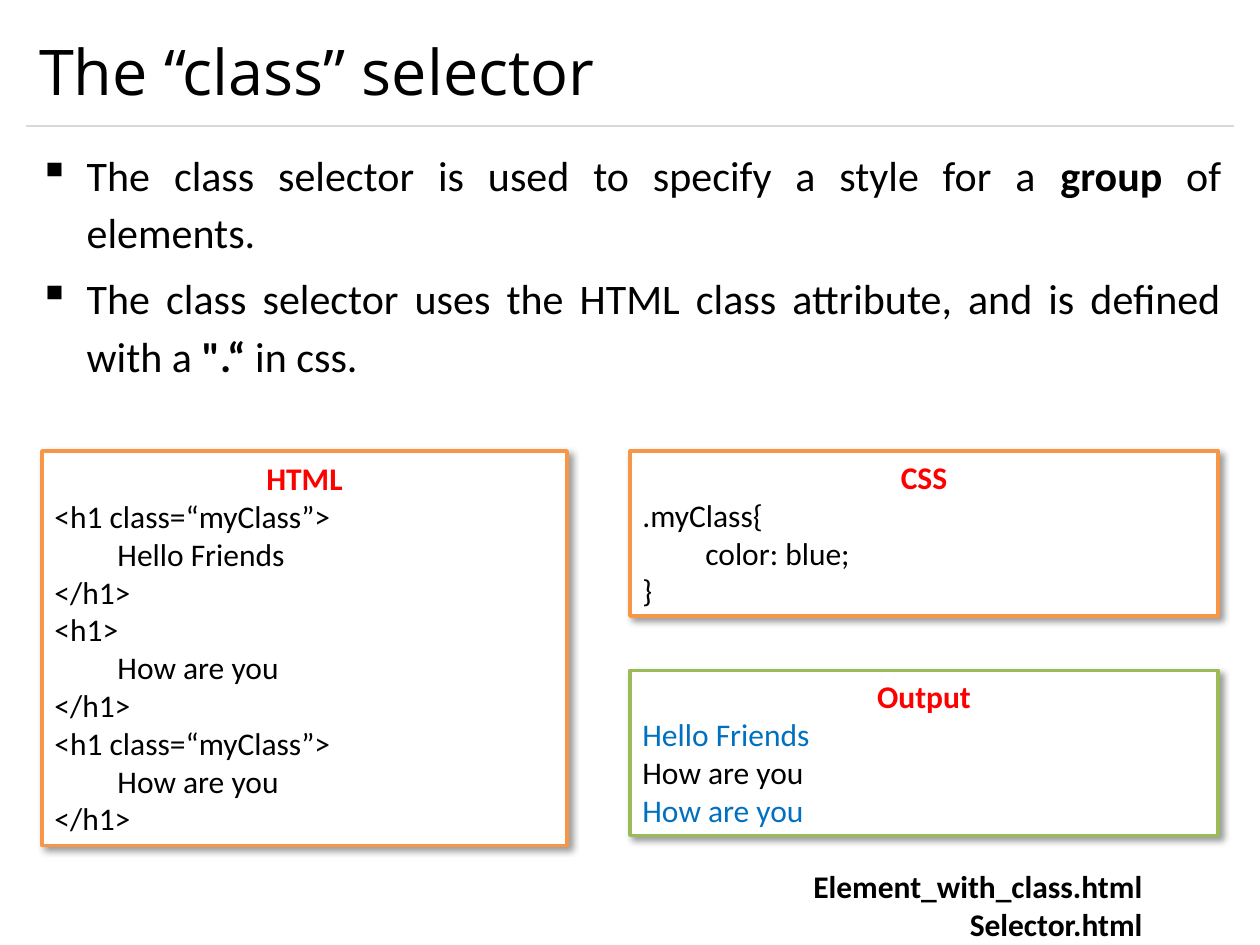
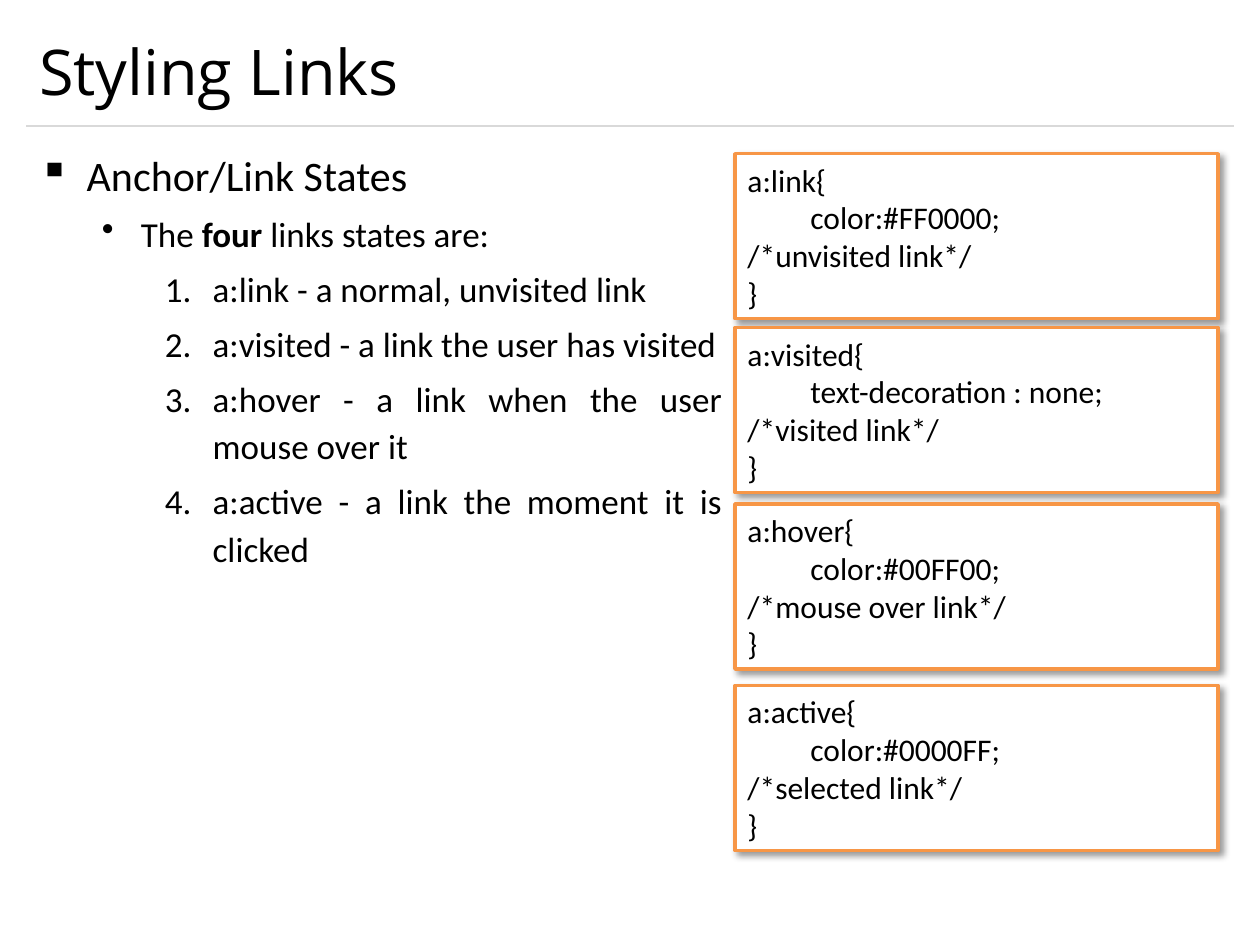
import itertools

import pptx
import pptx.dml.color
import pptx.enum.shapes
import pptx.enum.text
import pptx.oxml
import pptx.oxml.ns
import pptx.util

Inches, Pt = pptx.util.Inches, pptx.util.Pt
RGB = pptx.dml.color.RGBColor.from_string
ALIGN = pptx.enum.text.PP_ALIGN
ANCHOR = pptx.enum.text.MSO_ANCHOR
FIT = pptx.enum.text.MSO_AUTO_SIZE
NS = pptx.oxml.ns.nsdecls("a")

COLOURS = {"black": "000000", "white": "FFFFFF", "red": "FF0000", "blue": "0070C0",
           "orange": "F79646", "green": "9BBB59", "rule": "D9D9D9"}
TITLE_FONT, BODY_FONT = "Open Sans", "Calibri"
COL = Inches(10) // 60  # sixty columns across the slide
MARGIN, CONTENT_WIDTH = Inches(0.21), Inches(9.58)
BODY_TOP, CODE_HEIGHT = 1.08, 1.31

# Body levels: left margin, hanging indent, text size, bullet
LEVELS = [
    (0.38, 0.38, 24, f'<a:buChar {NS} char="▪"/>'),
    (0.81, 0.31, 20, f'<a:buChar {NS} char="•"/>'),
    (1.38, 0.38, 20, f'<a:buAutoNum {NS} type="arabicPeriod"/>'),
]
SHADOW = (f'<a:effectLst {NS}><a:outerShdw blurRad="{Pt(4)}" dist="{Pt(3)}" dir="2700000" '
          'algn="tl" rotWithShape="0"><a:srgbClr val="000000"><a:alpha val="40000"/>'
          '</a:srgbClr></a:outerShdw></a:effectLst>')


def format_text(p, size, colour="black", bold=False, font=BODY_FONT):
    for r in p.runs:
        r.font.name, r.font.size, r.font.bold = font, Pt(size), bold
        r.font.color.rgb = RGB(COLOURS[colour])


def add_code_box(slide, left, top, width, height, edge, lines, heading=None, colours=("black",)):
    """Add a shadowed box; the line colours repeat in turn below the heading."""
    sp = slide.shapes.add_shape(pptx.enum.shapes.MSO_SHAPE.RECTANGLE, left * COL,
                                Inches(top), width * COL, Inches(height))
    sp.fill.solid()
    sp.fill.fore_color.rgb = RGB(COLOURS["white"])
    sp.line.color.rgb = RGB(COLOURS[edge])
    sp.line.width = Pt(2)
    sp._element.spPr.append(pptx.oxml.parse_xml(SHADOW))
    tf = sp.text_frame
    tf.word_wrap, tf.auto_size = True, FIT.SHAPE_TO_FIT_TEXT
    tf.vertical_anchor = ANCHOR.MIDDLE
    tf.text = "\n".join([heading] * bool(heading) + lines)
    for p, colour in zip(tf.paragraphs[bool(heading):], itertools.cycle(colours)):
        p.alignment = ALIGN.LEFT
        format_text(p, 18, colour)
    if heading:
        tf.paragraphs[0].alignment = ALIGN.CENTER
        format_text(tf.paragraphs[0], 18, "red", bold=True)


prs = pptx.Presentation()
prs.slide_width, prs.slide_height = Inches(10), Inches(7.5)

# Each body item is a level and its text; ** surrounds bold words
pages = [
    ("The “class” selector", 9.58, 2.25, [
        (0, "The class selector is used to specify a style for a **group** of elements."),
        (0, "The class selector uses the HTML class attribute, and is defined "
            "with a **\".“** in css."),
    ]),
    ("Styling Links", 5.62, 5.83, [
        (0, "Anchor/Link States"),
        (1, "The **four** links states are:"),
        (2, "a:link - a normal, unvisited link"),
        (2, "a:visited - a link the user has visited"),
        (2, "a:hover - a link when the user mouse over it"),
        (2, "a:active - a link the moment it is clicked"),
    ]),
]

for title, body_width, body_height, items in pages:
    slide = prs.slides.add_slide(prs.slide_layouts[5])

    rule = slide.shapes.add_connector(pptx.enum.shapes.MSO_CONNECTOR.STRAIGHT, MARGIN,
                                      Inches(1), MARGIN + CONTENT_WIDTH, Inches(1))
    rule.line.color.rgb = RGB(COLOURS["rule"])
    rule.line.width = Pt(0.75)
    rule._element.spPr.append(pptx.oxml.parse_xml(f"<a:effectLst {NS}/>"))

    sp = slide.shapes.title
    sp.left, sp.top, sp.width, sp.height = MARGIN, Inches(0.12), CONTENT_WIDTH, Inches(0.88)
    tf = sp.text_frame
    tf.text = title
    tf.auto_size, tf.vertical_anchor = FIT.NONE, ANCHOR.MIDDLE
    tf.paragraphs[0].alignment = ALIGN.LEFT
    format_text(tf.paragraphs[0], 36, font=TITLE_FONT)

    tf = slide.shapes.add_textbox(MARGIN, Inches(BODY_TOP), Inches(body_width),
                                  Inches(body_height)).text_frame
    tf.word_wrap = True
    for i, (level, text) in enumerate(items):
        p = tf.add_paragraph() if i else tf.paragraphs[0]
        margin, hanging, size, bullet = LEVELS[level]
        pPr = p._p.get_or_add_pPr()
        pPr.set("marL", str(Inches(margin)))
        pPr.set("indent", str(-Inches(hanging)))
        pPr.append(pptx.oxml.parse_xml(bullet))
        p.level, p.alignment, p.line_spacing = level, ALIGN.JUSTIFY, 1.14
        if i:
            p.space_before = Pt(size * 0.2)
        for part in text.split("**"):
            p.add_run().text = part
        format_text(p, size)
        for r in p.runs[1::2]:
            r.font.bold = True

class_slide, links_slide = prs.slides

add_code_box(class_slide, 2, 3.58, 25, 3.13, "orange", [
    "<h1 class=“myClass”>", "\tHello Friends", "</h1>",
    "<h1>", "\tHow are you", "</h1>",
    "<h1 class=“myClass”>", "\tHow are you", "</h1>"], "HTML")
add_code_box(class_slide, 30, 3.58, 28, CODE_HEIGHT, "orange",
             [".myClass{", "\tcolor: blue;", "}"], "CSS")
add_code_box(class_slide, 30, 5.32, 28, CODE_HEIGHT, "green",
             ["Hello Friends", "How are you", "How are you"], "Output", ("blue", "black"))

tf = class_slide.shapes.add_textbox(37 * COL, Inches(6.83), 18 * COL, Inches(0.71)).text_frame
tf.word_wrap = True
tf.text = "Element_with_class.html\nSelector.html"
for p in tf.paragraphs:
    p.alignment = ALIGN.RIGHT
    format_text(p, 18, bold=True)

link_states = [
    (1.22, "link", "color:#FF0000;", "unvisited"),
    (2.6, "visited", "text-decoration : none;", "visited"),
    (4, "hover", "color:#00FF00;", "mouse over"),
    (5.44, "active", "color:#0000FF;", "selected"),
]
for top, state, declaration, meaning in link_states:
    add_code_box(links_slide, 35, top, 23, CODE_HEIGHT, "orange",
                 [f"a:{state}{{", f"\t{declaration}", f"/*{meaning} link*/", "}"])

prs.save("out.pptx")
